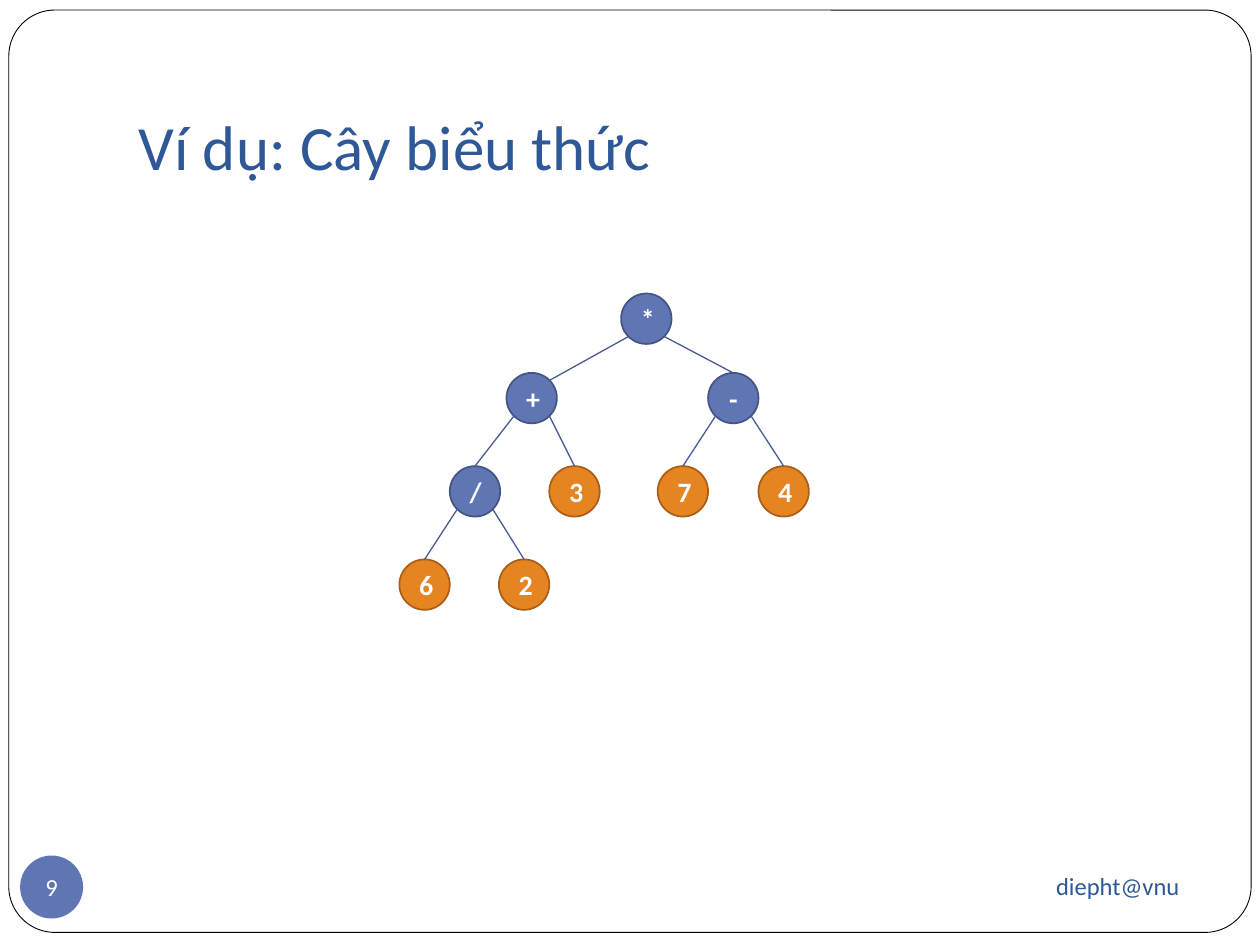
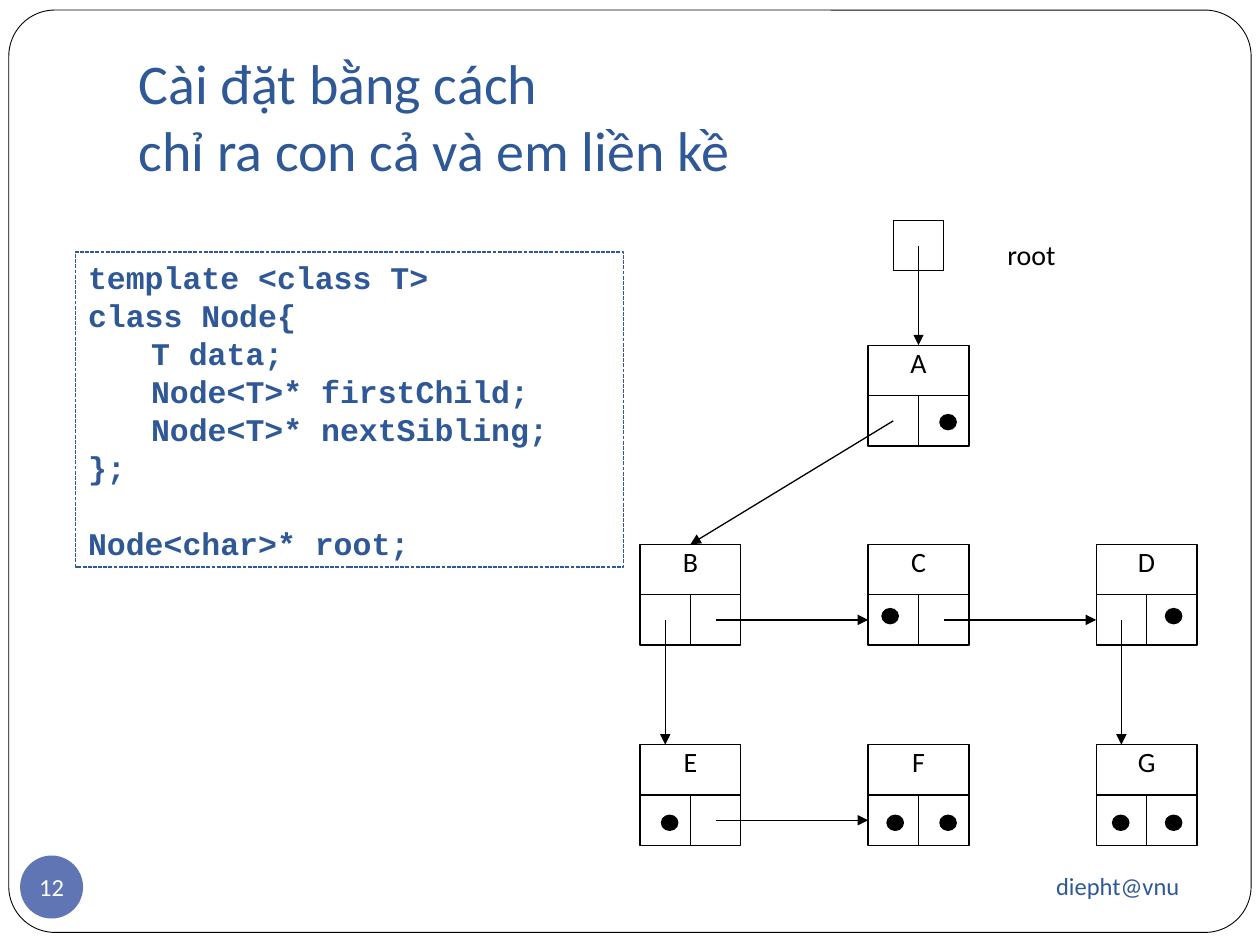
import pptx
import pptx.util
import pptx.dml.color
import pptx.enum.dml
import pptx.enum.shapes
import pptx.enum.text
import pptx.oxml.ns
from lxml import etree

Inches = pptx.util.Inches
Pt = pptx.util.Pt
RGB = pptx.dml.color.RGBColor.from_string
SHAPE = pptx.enum.shapes.MSO_SHAPE
ALIGN = pptx.enum.text.PP_ALIGN
ANCHOR = pptx.enum.text.MSO_ANCHOR
qn = pptx.oxml.ns.qn

COLORS = {
    "white": "FFFFFF", "black": "000000", "title": "2F5897",
    "operator": "6076B4", "operator_line": "445583",
    "operand": "E68422", "operand_line": "A95F16", "edge": "485B92",
}
INSETS = (0.1, 0.05, 0.1, 0.05)
NO_INSETS = (0, 0, 0, 0)


def add_shape(slide, kind, box, fill=None, line=None, width=0.75, text="", size=16,
              color="black", bold=False, font="Calibri", align=ALIGN.CENTER,
              anchor=ANCHOR.MIDDLE, insets=INSETS, wrap=True, space_after=0):
    shape = slide.shapes.add_shape(kind, *map(Inches, box))
    shape.shadow.inherit = False
    if fill:
        shape.fill.solid()
        shape.fill.fore_color.rgb = RGB(COLORS[fill])
    else:
        shape.fill.background()
    if line:
        shape.line.color.rgb = RGB(COLORS[line])
        shape.line.width = Pt(width)
    else:
        shape.line.fill.background()
    if text:
        frame = shape.text_frame
        frame.text = text
        sides = zip(("left", "top", "right", "bottom"), insets)
        frame_format = {f"margin_{side}": Inches(inset) for side, inset in sides}
        frame_format.update(word_wrap=wrap, vertical_anchor=anchor)
        for name, value in frame_format.items():
            setattr(frame, name, value)
        for paragraph in frame.paragraphs:
            paragraph.alignment = align
            paragraph.space_after = Pt(space_after)
            font_format = {"name": font, "size": Pt(size), "bold": bold}
            for name, value in font_format.items():
                setattr(paragraph.font, name, value)
            paragraph.font.color.rgb = RGB(COLORS[color])
    return shape


def add_line(slide, start, end, color, arrow=False):
    connector = slide.shapes.add_connector(
        pptx.enum.shapes.MSO_CONNECTOR.STRAIGHT, *map(Inches, (*start, *end)))
    connector.line.color.rgb = RGB(COLORS[color])
    connector.line.width = Pt(0.75)
    if arrow:
        etree.SubElement(connector.line._get_or_add_ln(), qn("a:tailEnd"), type="triangle")
    etree.SubElement(connector._element.spPr, qn("a:effectLst"))
    return connector


presentation = pptx.Presentation()
presentation.slide_width = Inches(10)
presentation.slide_height = Inches(7.5)

# Frame, title, footer and page number of both slides
slides = []
for title_text, title_size, page in [
    ("Ví dụ: Cây biểu thức", 36, "9"),
    ("Cài đặt bằng cách\vchỉ ra con cả và em liền kề", 32, "12"),
]:
    slide = presentation.slides.add_slide(presentation.slide_layouts[5])
    slides.append(slide)
    border = add_shape(slide, SHAPE.ROUNDED_RECTANGLE, (0.07, 0.08, 9.86, 7.32),
                       "white", "black", 0.5)
    border.adjustments[0] = 0.05
    slide.shapes._spTree.insert(2, border._element)  # behind the title

    title = slide.shapes.title
    title_box = {"left": 1, "top": 0.3, "width": 8.5, "height": 1.25}
    for name, value in title_box.items():
        setattr(title, name, Inches(value))
    title.text_frame.text = title_text
    title_format = {
        "margin_left": Inches(0.1), "margin_top": Inches(0.05),
        "margin_right": Inches(0.1), "margin_bottom": Inches(0.1),
        "word_wrap": True, "vertical_anchor": ANCHOR.BOTTOM,
        "auto_size": pptx.enum.text.MSO_AUTO_SIZE.NONE,
    }
    for name, value in title_format.items():
        setattr(title.text_frame, name, value)
    paragraph = title.text_frame.paragraphs[0]
    paragraph.alignment = ALIGN.LEFT
    paragraph.font.name = "Calibri"
    paragraph.font.size = Pt(title_size)
    paragraph.font.color.rgb = RGB(COLORS["title"])

    add_shape(slide, SHAPE.RECTANGLE, (6.75, 6.77, 2.71, 0.52), text="diepht@vnu",
              size=14, color="title", align=ALIGN.RIGHT)
    add_shape(slide, SHAPE.OVAL, (0.16, 6.79, 0.5, 0.5), "operator", text=page,
              size=14, color="white", insets=NO_INSETS, wrap=False)

expression_slide, sibling_slide = slides

# Expression tree: circle centres, then edges
radius = 0.2
diagonal = 0.14  # offset of a circle's 45 degree point
tree = {
    "*": (5.13, 2.53), "+": (4.22, 3.16), "-": (5.82, 3.16),
    "/": (3.77, 3.9), "3": (4.56, 3.9), "7": (5.42, 3.9), "4": (6.22, 3.9),
    "6": (3.37, 4.64), "2": (4.16, 4.64),
}
for label, (x, y) in tree.items():
    role = "operand" if label.isdigit() else "operator"
    add_shape(expression_slide, SHAPE.OVAL,
              (x - radius, y - radius, 2 * radius, 2 * radius),
              role, role + "_line", 1, label, color="white", bold=True)

for parent, children in {"*": "+-", "+": "/3", "-": "74", "/": "62"}.items():
    x, y = tree[parent]
    for child, side in zip(children, (-1, 1)):
        child_x, child_y = tree[child]
        end = (child_x, child_y - radius)
        if child == "+":
            end = (child_x + diagonal, child_y - diagonal)
        add_line(expression_slide, (x + side * diagonal, y + diagonal), end, "edge")

# Linked nodes: a header over a first-child cell and a next-sibling cell
cell = 0.4
columns = (5.08, 6.89, 8.7)
rows = (2.74, 4.32, 5.91)
# column, row, null dots as offsets from the left cell's corner
nodes = {
    "A": (1, 0, [(0.57, 0.15)]),
    "B": (0, 1, []),
    "C": (1, 1, [(0.11, 0.11)]),
    "D": (2, 1, [(0.55, 0.11)]),
    "E": (0, 2, [(0.17, 0.16)]),
    "F": (1, 2, [(0.15, 0.16), (0.57, 0.16)]),
    "G": (2, 2, [(0.13, 0.16), (0.55, 0.16)]),
}
headers, first_cells = {}, {}
for label, (column, row, dots) in nodes.items():
    left, top = columns[column], rows[row]
    cells = [add_shape(sibling_slide, SHAPE.RECTANGLE,
                       (left + slot * cell, top + cell, cell, cell), "white", "black")
             for slot in range(2)]
    first_cells[label] = cells[0]
    headers[label] = add_shape(
        sibling_slide, SHAPE.RECTANGLE, (left, top, 2 * cell, cell), "white", "black",
        text=label, anchor=ANCHOR.TOP, insets=NO_INSETS, space_after=10)
    for dot_x, dot_y in dots:
        add_shape(sibling_slide, SHAPE.OVAL,
                  (left + dot_x, top + cell + dot_y, 0.13, 0.12), "black", "black")

# Root pointer
add_shape(sibling_slide, SHAPE.RECTANGLE, (7.09, 1.75, cell, cell), "white", "black")
add_shape(sibling_slide, SHAPE.OVAL, (7.69, 1.75, 1.41, 0.59), text="root",
          align=ALIGN.LEFT, anchor=ANCHOR.TOP, space_after=10)
root_arrow = add_line(sibling_slide, (7.29, 1.95), (7.29, rows[0]), "black", arrow=True)
root_arrow.end_connect(headers["A"], 0)

# Pointers leave from the middle of a cell: slot 0 first child, 1 next sibling
for source, slot, target in [("A", 0, "B"), ("B", 0, "E"), ("D", 0, "G"),
                             ("B", 1, "C"), ("C", 1, "D"), ("E", 1, "F")]:
    column, row, _ = nodes[source]
    target_column, target_row, _ = nodes[target]
    start = (columns[column] + (slot + 0.5) * cell, rows[row] + 1.5 * cell)
    arrow = add_line(sibling_slide, start, (start[0], rows[target_row]), "black", arrow=True)
    if slot == 1:
        arrow.end_connect(first_cells[target], 1)
    elif column != target_column:
        arrow.end_connect(headers[target], 0)

# Code listing
code = """template <class T>
class Node{
\tT data;
\tNode<T>* firstChild;
\tNode<T>* nextSibling;
};
Node<char>* root;"""
listing = add_shape(sibling_slide, SHAPE.RECTANGLE, (0.6, 2, 4.35, 2.5), None, "title",
                    text=code, size=18, color="title", bold=True, font="Courier New",
                    align=ALIGN.LEFT, anchor=ANCHOR.TOP, wrap=False)
listing.line.dash_style = pptx.enum.dml.MSO_LINE.SQUARE_DOT
for paragraph in listing.text_frame.paragraphs:
    paragraph.line_spacing = Pt(21.7)
listing.text_frame.paragraphs[-1].space_before = Pt(21.7)

presentation.save("out.pptx")
